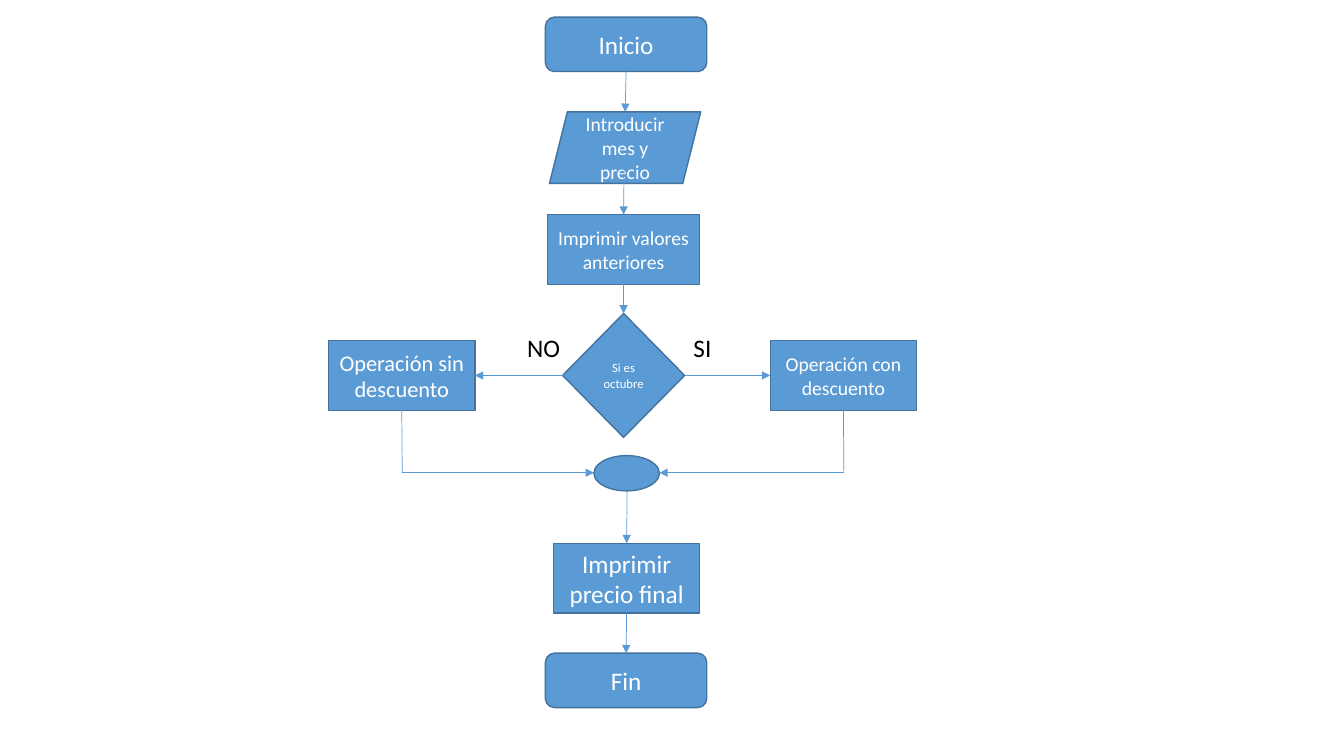
from lxml import etree
from pptx import Presentation
from pptx.dml.color import RGBColor
from pptx.enum import shapes, text
from pptx.oxml import ns
from pptx.util import Inches, Pt

COLORS = {"fill": "5B9BD5", "outline": "43739E", "light": "FFFFFF", "dark": "000000"}
FONT = "Calibri"
TOP, LEFT, BOTTOM, RIGHT = range(4)
KIND = shapes.MSO_SHAPE


def color(name):
    """Return the palette colour called name."""
    return RGBColor.from_string(COLORS[name])


def write(frame, wording, size, ink, align):
    """Fill a text frame with one formatted paragraph."""
    frame.word_wrap = True
    frame.text = wording
    paragraph = frame.paragraphs[0]
    paragraph.alignment = align
    for run in paragraph.runs:
        run.font.name = FONT
        run.font.size = Pt(size)
        run.font.color.rgb = color(ink)


def add_step(slide, kind, box, wording="", size=18):
    """Add a flowchart symbol with centred wording."""
    step = slide.shapes.add_shape(kind, *map(Inches, box))
    step.shadow.inherit = False
    step.fill.solid()
    step.fill.fore_color.rgb = color("fill")
    step.line.color.rgb = color("outline")
    step.line.width = Pt(1)
    if wording:
        step.text_frame.vertical_anchor = text.MSO_ANCHOR.MIDDLE
        write(step.text_frame, wording, size, "light", text.PP_ALIGN.CENTER)
    return step


def add_flow(slide, start, end, source=None, target=None, arrow=True):
    """Draw a flow line, joined to (step, side) pairs where given."""
    flow = slide.shapes.add_connector(
        shapes.MSO_CONNECTOR.STRAIGHT, *map(Inches, start + end))
    if source:
        flow.begin_connect(*source)
    if target:
        flow.end_connect(*target)
    flow.line.color.rgb = color("fill")
    flow.line.width = Pt(0.5)
    if arrow:
        etree.SubElement(flow.line._get_or_add_ln(), ns.qn("a:tailEnd"), type="triangle")
    etree.SubElement(flow._element.spPr, ns.qn("a:effectLst"))


def add_label(slide, left, wording):
    """Name one branch of the decision."""
    label = slide.shapes.add_textbox(*map(Inches, (left, 3.25, 0.6, 0.4)))
    write(label.text_frame, wording, 18, "dark", text.PP_ALIGN.LEFT)
    label.text_frame.auto_size = text.MSO_AUTO_SIZE.SHAPE_TO_FIT_TEXT


def main():
    """Build the discount flowchart."""
    deck = Presentation()
    deck.slide_width, deck.slide_height = Inches(13.33), Inches(7.5)
    slide = deck.slides.add_slide(deck.slide_layouts[6])

    inicio = add_step(slide, KIND.ROUNDED_RECTANGLE, (5.41, 0.17, 1.6, 0.54), "Inicio")
    fin = add_step(slide, KIND.ROUNDED_RECTANGLE, (5.41, 6.48, 1.6, 0.54), "Fin")
    add_step(slide, KIND.PARALLELOGRAM, (5.45, 1.11, 1.5, 0.71),
             "Introducir mes y precio", 14)
    valores = add_step(slide, KIND.RECTANGLE, (5.43, 2.13, 1.51, 0.69),
                       "Imprimir valores anteriores", 14)
    precio_final = add_step(slide, KIND.RECTANGLE, (5.49, 5.39, 1.45, 0.69),
                            "Imprimir precio final")
    sin_descuento = add_step(slide, KIND.RECTANGLE, (3.26, 3.38, 1.45, 0.69),
                             "Operación sin descuento", 16)
    con_descuento = add_step(slide, KIND.RECTANGLE, (7.64, 3.38, 1.45, 0.69),
                             "Operación con descuento", 14)
    octubre = add_step(slide, KIND.DIAMOND, (5.58, 3.11, 1.21, 1.23), "Si es octubre", 9)
    add_step(slide, KIND.OVAL, (5.89, 4.52, 0.65, 0.35))

    add_flow(slide, (6.21, 0.71), (6.2, 1.11), source=(inicio, BOTTOM))
    add_flow(slide, (6.19, 1.66), (6.19, 2.13), target=(valores, TOP))
    add_flow(slide, (6.19, 2.82), (6.19, 3.11), (valores, BOTTOM), (octubre, TOP))
    add_flow(slide, (6.22, 4.87), (6.22, 5.39), target=(precio_final, TOP))
    add_flow(slide, (6.22, 6.08), (6.21, 6.48), (precio_final, BOTTOM), (fin, TOP))

    branches = (
        (sin_descuento, LEFT, RIGHT, 5.58, 4.71, 3.99, 5.89),
        (con_descuento, RIGHT, LEFT, 6.79, 7.64, 8.37, 6.54),
    )
    for operation, exit_side, entry_side, exit_x, entry_x, turn_x, merge_x in branches:
        add_flow(slide, (exit_x, 3.72), (entry_x, 3.72),
                 (octubre, exit_side), (operation, entry_side))
        add_flow(slide, (turn_x, 4.07), (turn_x, 4.69),
                 source=(operation, BOTTOM), arrow=False)
        add_flow(slide, (turn_x, 4.69), (merge_x, 4.69))

    add_label(slide, 6.78, "SI")
    add_label(slide, 5.13, "NO")
    deck.save("out.pptx")


if __name__ == "__main__":
    main()
